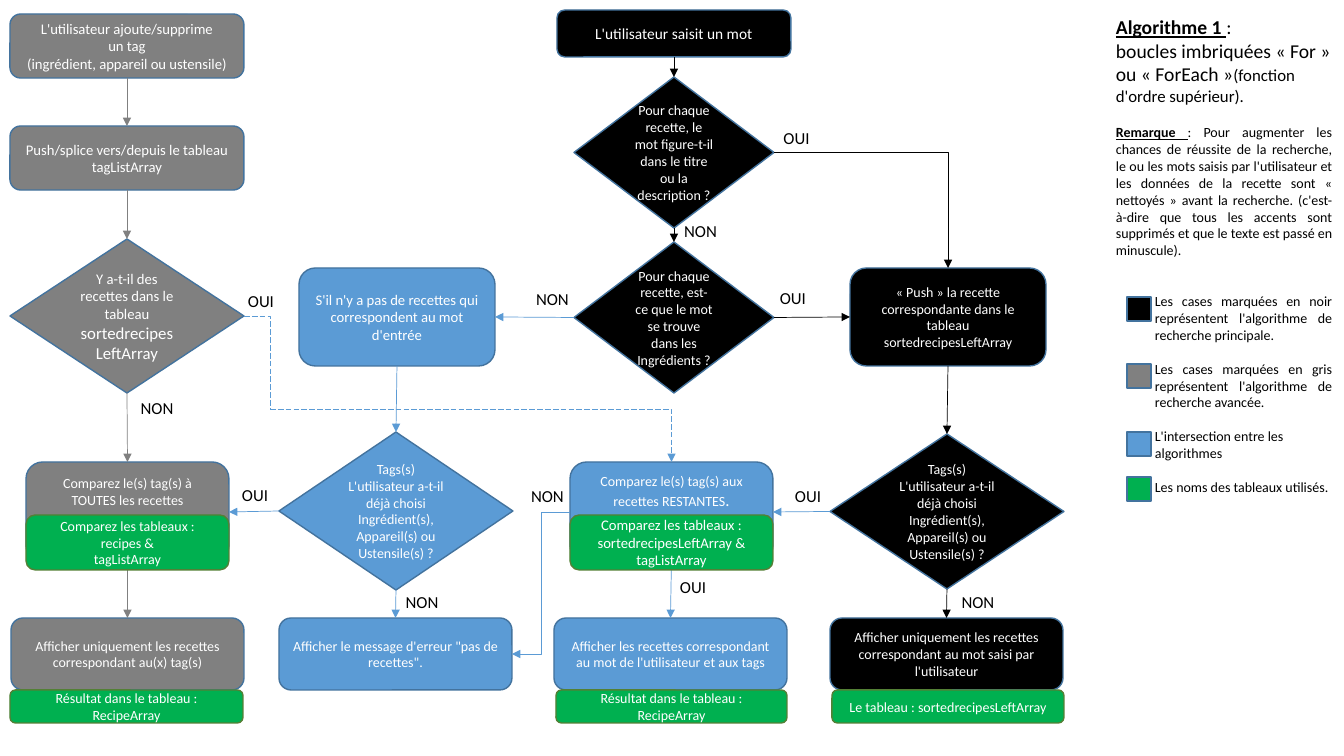
from dataclasses import dataclass
from typing import Optional, Union

from pptx import Presentation
from pptx.dml.color import RGBColor
from pptx.enum.dml import MSO_LINE
from pptx.enum.shapes import MSO_CONNECTOR, MSO_SHAPE
from pptx.enum.text import MSO_ANCHOR, PP_ALIGN
from pptx.oxml.ns import qn
from pptx.oxml.xmlchemy import OxmlElement
from pptx.util import Emu, Pt

BLACK = RGBColor(0x00, 0x00, 0x00)
WHITE = RGBColor(0xFF, 0xFF, 0xFF)
GRAY = RGBColor(0x80, 0x80, 0x80)
BLUE = RGBColor(0x5B, 0x9B, 0xD5)
GREEN = RGBColor(0x00, 0xB0, 0x50)
BLUE_EDGE = RGBColor(0x43, 0x73, 0x9E)
GREEN_EDGE = RGBColor(0x53, 0x80, 0x35)

ROUNDED, DIAMOND, SQUARE = MSO_SHAPE.ROUNDED_RECTANGLE, MSO_SHAPE.DIAMOND, MSO_SHAPE.RECTANGLE
STRAIGHT, ELBOW = MSO_CONNECTOR.STRAIGHT, MSO_CONNECTOR.ELBOW
LEFT_ALIGN, CENTER, JUSTIFY = PP_ALIGN.LEFT, PP_ALIGN.CENTER, PP_ALIGN.JUSTIFY
MIDDLE = MSO_ANCHOR.MIDDLE
LONG_DASH = MSO_LINE.LONG_DASH
TOP, LEFT, BOTTOM, RIGHT = range(4)
FONT = "Calibri"


def px(pixels: int) -> Emu:
    return Emu(round(pixels * 914400 / 100.8))


@dataclass(frozen=True)
class Run:
    text: str
    size: Optional[float] = None
    heading: bool = False


@dataclass(frozen=True)
class Block:
    runs: tuple[Run, ...]
    size: float
    align: PP_ALIGN = CENTER
    color: RGBColor = BLACK
    space_before: float = 0
    indent: int = 0


@dataclass(frozen=True)
class Box:
    kind: MSO_SHAPE
    fill: RGBColor
    left: int
    top: int
    width: int
    height: int
    text: str = ""
    size: float = 10
    tail: str = ""
    bottom_inset: int = 5


@dataclass(frozen=True)
class Arrow:
    color: RGBColor
    start: Union[tuple[str, int], tuple[int, int]]
    end: Union[tuple[str, int], tuple[int, int]]
    preset: str = "line"
    dashed: bool = False
    head: bool = True


@dataclass(frozen=True)
class Label:
    text: str
    left: int
    top: int
    width: int


def write_blocks(frame, blocks: list[Block]) -> None:
    for number, block in enumerate(blocks):
        paragraph = frame.add_paragraph() if number else frame.paragraphs[0]
        paragraph.alignment = block.align
        paragraph.space_before = Pt(block.space_before)
        paragraph.font.name = FONT
        paragraph.font.size = Pt(block.size)
        paragraph.font.color.rgb = block.color
        if block.indent:
            properties = paragraph._p.get_or_add_pPr()
            properties.set("marL", str(px(block.indent)))
            properties.set("indent", "0")
        for part in block.runs:
            run = paragraph.add_run()
            run.text = part.text
            if part.size:
                run.font.size = Pt(part.size)
            if part.heading:
                run.font.bold = run.font.underline = True


def draw_box(slide, box: Box):
    shape = slide.shapes.add_shape(box.kind, px(box.left), px(box.top), px(box.width), px(box.height))
    shape.shadow.inherit = False
    shape.fill.solid()
    shape.fill.fore_color.rgb = box.fill
    shape.line.color.rgb = GREEN_EDGE if box.fill == GREEN and box.text else BLUE_EDGE
    shape.line.width = Pt(1)
    if box.text:
        frame = shape.text_frame
        frame.word_wrap = True
        frame.vertical_anchor = MIDDLE
        frame.margin_bottom = px(box.bottom_inset)
        lines = [[Run(line)] for line in box.text.split("\n")]
        if box.tail:
            lines[-1].append(Run(box.tail, 12))
        write_blocks(frame, [Block(tuple(runs), box.size, color=WHITE) for runs in lines])
    return shape


def draw_arrow(slide, arrow: Arrow, shapes: dict) -> None:
    free = [(0, 0) if isinstance(point[0], str) else point for point in (arrow.start, arrow.end)]
    connector = slide.shapes.add_connector(
        STRAIGHT if arrow.preset == "line" else ELBOW, *(px(value) for point in free for value in point))
    if isinstance(arrow.start[0], str):
        connector.begin_connect(shapes[arrow.start[0]], arrow.start[1])
    if isinstance(arrow.end[0], str):
        connector.end_connect(shapes[arrow.end[0]], arrow.end[1])
    properties = connector._element.spPr
    properties.find(qn("a:prstGeom")).set("prst", arrow.preset)
    connector.line.color.rgb = arrow.color
    connector.line.width = Pt(0.5)
    if arrow.dashed:
        connector.line.dash_style = LONG_DASH
    if arrow.head:
        head = OxmlElement("a:tailEnd")
        head.set("type", "triangle")
        connector.get_or_add_ln().append(head)
    properties.append(OxmlElement("a:effectLst"))


def draw_text(slide, left: int, top: int, width: int, height: int, blocks: list[Block], wrap: bool) -> None:
    frame = slide.shapes.add_textbox(px(left), px(top), px(width), px(height)).text_frame
    frame.word_wrap = wrap
    write_blocks(frame, blocks)


TAG_QUESTION = "Tags(s)\nL'utilisateur a-t-il déjà choisi\nIngrédient(s), Appareil(s) ou Ustensile(s) ?"
STEPS = {
    "tag edit": Box(ROUNDED, GRAY, 10, 14, 234, 64, "L'utilisateur ajoute/supprime\nun tag\n(ingrédient, appareil ou ustensile)", 10.5),
    "tag list": Box(ROUNDED, GRAY, 10, 126, 234, 64, "Push/splice vers/depuis le tableau tagListArray", 10.5),
    "recipes left": Box(DIAMOND, GRAY, 10, 239, 234, 154, "Y a-t-il des recettes dans le tableau ", 10.5, "sortedrecipesLeftArray"),
    "compare all": Box(ROUNDED, GRAY, 26, 462, 203, 100, "Comparez le(s) tag(s) à TOUTES les recettes", bottom_inset=46),
    "tag result": Box(ROUNDED, GRAY, 11, 618, 233, 72, "Afficher uniquement les recettes correspondant au(x) tag(s)"),
    "no match": Box(ROUNDED, BLUE, 299, 268, 196, 98, "S'il n'y a pas de recettes qui correspondent au mot d'entrée", 10.5),
    "tags without match": Box(DIAMOND, BLUE, 279, 432, 234, 158, TAG_QUESTION),
    "error": Box(ROUNDED, BLUE, 279, 618, 233, 72, "Afficher le message d'erreur \"pas de recettes\"."),
    "compare rest": Box(ROUNDED, BLUE, 570, 462, 203, 100, "Comparez le(s) tag(s) aux recettes RESTANTES", tail=".", bottom_inset=46),
    "both result": Box(ROUNDED, BLUE, 554, 618, 233, 72, "Afficher les recettes correspondant au mot de l'utilisateur et aux tags"),
    "word": Box(ROUNDED, BLACK, 557, 10, 234, 47, "L'utilisateur saisit un mot", 11),
    "in title": Box(DIAMOND, BLACK, 574, 77, 200, 151, "Pour chaque recette, le mot figure-t-il dans le titre ou la description ?"),
    "in ingredients": Box(DIAMOND, BLACK, 574, 242, 200, 151, "Pour chaque recette, est-ce que le mot se trouve dans les Ingrédients ?"),
    "push": Box(ROUNDED, BLACK, 850, 268, 196, 98, "« Push » la recette correspondante dans le tableau sortedrecipesLeftArray"),
    "tags with match": Box(DIAMOND, BLACK, 830, 434, 234, 155, TAG_QUESTION),
    "word result": Box(ROUNDED, BLACK, 830, 618, 233, 72, "Afficher uniquement les recettes correspondant au mot saisi par l'utilisateur"),
}
ARROWS = [
    *(Arrow(color, (start, BOTTOM), (end, TOP)) for color, chain in (
        (GRAY, ("tag edit", "tag list", "recipes left", "compare all", "tag result")),
        (BLACK, ("word", "in title", "in ingredients")),
        (BLACK, ("push", "tags with match", "word result")),
        (BLUE, ("no match", "tags without match", "error")),
        (BLUE, ("compare rest", "both result")),
    ) for start, end in zip(chain, chain[1:])),
    Arrow(BLACK, ("in ingredients", RIGHT), ("push", LEFT)),
    Arrow(BLUE, ("in ingredients", LEFT), ("no match", RIGHT)),
    Arrow(BLUE, ("tags with match", LEFT), ("compare rest", RIGHT)),
    Arrow(BLUE, ("tags without match", LEFT), ("compare all", RIGHT)),
    Arrow(BLACK, ("in title", RIGHT), ("push", TOP), "bentConnector2"),
    Arrow(BLUE, ("compare rest", LEFT), ("error", RIGHT), "bentConnector3"),
    Arrow(BLUE, ("recipes left", RIGHT), (270, 409), "bentConnector2", True, False),
    Arrow(BLUE, (270, 409), ("compare rest", TOP), "bentConnector2", True),
]
RESULT = "Résultat dans le tableau : RecipeArray"
ARRAYS = [
    Box(ROUNDED, GREEN, 26, 515, 203, 55, "Comparez les tableaux : recipes &\ntagListArray"),
    Box(ROUNDED, GREEN, 570, 515, 203, 55, "Comparez les tableaux : sortedrecipesLeftArray &\ntagListArray", 10.5),
    Box(ROUNDED, GREEN, 10, 690, 233, 33, RESULT),
    Box(ROUNDED, GREEN, 556, 690, 231, 33, RESULT),
    Box(ROUNDED, GREEN, 832, 690, 232, 33, "Le tableau : sortedrecipesLeftArray"),
]
LABELS = [
    *(Label("OUI", *place) for place in ((785, 481, 46), (232, 480, 46), (770, 123, 53),
                                         (670, 572, 46), (768, 283, 50), (238, 286, 46))),
    *(Label("NON", *place) for place in ((524, 284, 57), (519, 481, 57), (948, 587, 60),
                                         (395, 587, 54), (673, 216, 55), (129, 393, 56))),
]
TITLE = [
    Block((Run("Algorithme 1 ", heading=True), Run(":")), 14, LEFT_ALIGN),
    Block((Run("boucles imbriquées « For » ou « ForEach »"), Run("(fonction d'ordre supérieur).", 12)), 14, LEFT_ALIGN),
]
REMARK = Block((Run("Remarque ", heading=True), Run(
    ": Pour augmenter les chances de réussite de la recherche, le ou les mots saisis par l'utilisateur "
    "et les données de la recette sont « nettoyés » avant la recherche. (c'est-à-dire que tous "
    "les accents sont supprimés et que le texte est passé en minuscule).")), 10, JUSTIFY)
LEGEND = [
    (BLACK, 297, "Les cases marquées en noir représentent l'algorithme de recherche principale.", JUSTIFY, 24.4),
    (GRAY, 364, "Les cases marquées en gris représentent l'algorithme de recherche avancée.", JUSTIFY, 12.2),
    (BLUE, 432, "L'intersection entre les algorithmes", LEFT_ALIGN, 12.2),
    (GREEN, 477, "Les noms des tableaux utilisés.", JUSTIFY, 12.2),
]

presentation = Presentation()
presentation.slide_width, presentation.slide_height = px(1344), px(756)
slide = presentation.slides.add_slide(presentation.slide_layouts[6])
step_shapes = {name: draw_box(slide, box) for name, box in STEPS.items()}
for arrow in ARROWS:
    draw_arrow(slide, arrow, step_shapes)
for array in ARRAYS:
    draw_box(slide, array)
for label in LABELS:
    draw_text(slide, label.left, label.top, label.width, 30, [Block((Run(label.text),), 12)], False)
draw_text(slide, 1106, 10, 238, 102, TITLE, True)
entries = [Block((Run(text),), 10, align, space_before=gap, indent=39) for _, _, text, align, gap in LEGEND]
draw_text(slide, 1106, 119, 236, 400, [REMARK, *entries], True)
for color, top, *_ in LEGEND:
    draw_box(slide, Box(SQUARE, color, 1127, top, 24, 24))
presentation.save("out.pptx")
